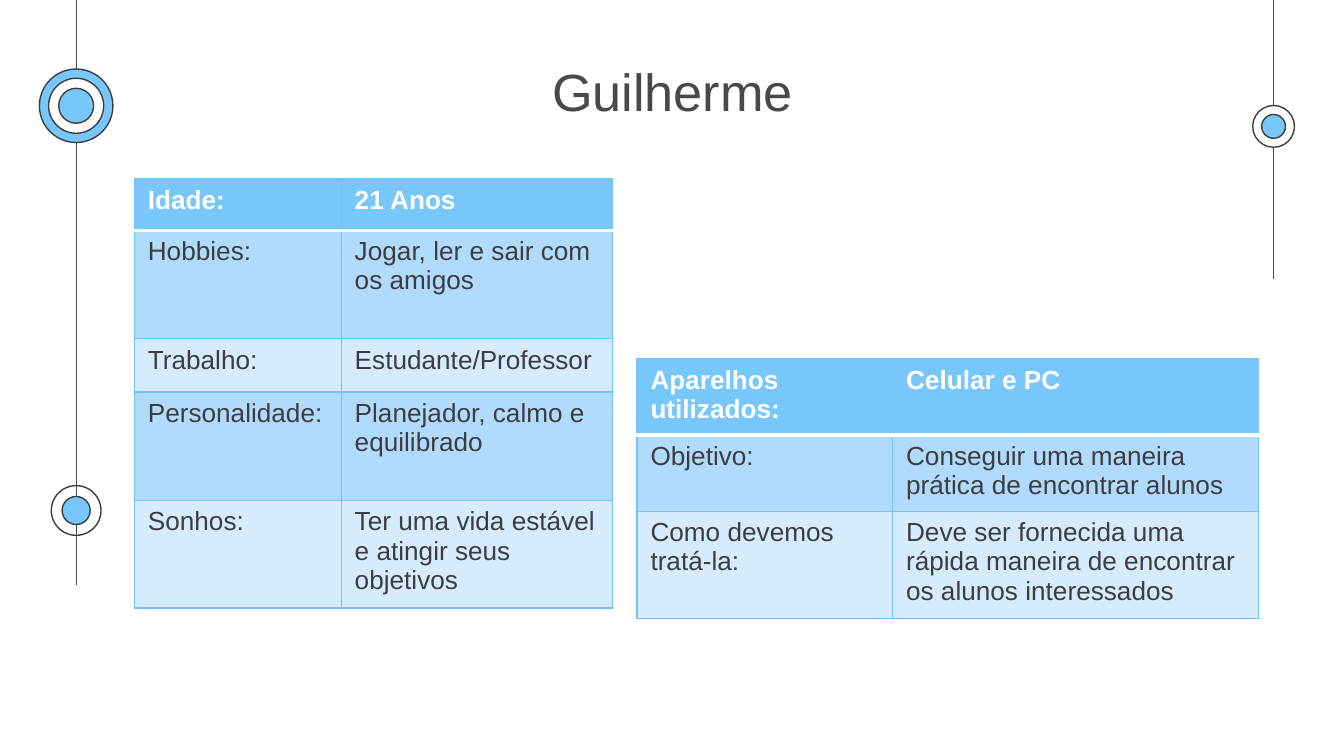
"""Build a persona slide with two tables and ringed side lines."""
import lxml.etree
import pptx
import pptx.dml.color
import pptx.enum.shapes
import pptx.enum.text
import pptx.oxml.ns
import pptx.util

Cm = pptx.util.Cm
Pt = pptx.util.Pt
qn = pptx.oxml.ns.qn

HUES = {
    "blue": "77C6FC",
    "band": "B1DBFE",
    "pale": "D6EBFE",
    "edge": "71C2FA",
    "white": "FFFFFF",
    "ink": "3D3D3D",
    "grey": "494949",
}


def hue(name):
    return pptx.dml.color.RGBColor.from_string(HUES[name])


def write(frame, text, size=14, color="ink", bold=False, align=None, font="Arial"):
    para = frame.paragraphs[0]
    para.alignment = align
    run = para.add_run()
    run.text = text
    run.font.name = font
    run.font.size = Pt(size)
    run.font.bold = bold
    run.font.color.rgb = hue(color)


class Deck:
    def __init__(self, wide, high):
        self.show = pptx.Presentation()
        self.show.slide_width = Cm(wide)
        self.show.slide_height = Cm(high)
        self.slide = self.show.slides.add_slide(self.show.slide_layouts[6])
        self.stroke = Pt(0.75)

    def title(self, text, left, top, wide, high):
        box = self.slide.shapes.add_textbox(Cm(left), Cm(top), Cm(wide), Cm(high))
        frame = box.text_frame
        frame.word_wrap = True
        frame.vertical_anchor = pptx.enum.text.MSO_ANCHOR.MIDDLE
        frame.margin_top = frame.margin_bottom = Cm(0.25)
        write(frame, text, size=28, color="grey", align=pptx.enum.text.PP_ALIGN.CENTER)

    def line(self, x, end):
        kind = pptx.enum.shapes.MSO_CONNECTOR.STRAIGHT
        line = self.slide.shapes.add_connector(kind, Cm(x), Cm(0), Cm(x), Cm(end))
        line.line.color.rgb = hue("grey")
        line.line.width = self.stroke
        lxml.etree.SubElement(line._element.spPr, qn("a:effectLst"))

    def disc(self, x, y, size, fill):
        kind = pptx.enum.shapes.MSO_SHAPE.OVAL
        disc = self.slide.shapes.add_shape(
            kind, Cm(x - size / 2), Cm(y - size / 2), Cm(size), Cm(size))
        disc.shadow.inherit = False
        if fill:
            disc.fill.solid()
            disc.fill.fore_color.rgb = hue(fill)
        else:
            disc.fill.background()
        disc.line.color.rgb = hue("ink")
        disc.line.width = self.stroke

    def border(self, cell, row):
        props = cell._tc.get_or_add_tcPr()
        for spot, side in enumerate("LRTB"):
            rule = (row, side) in ((0, "B"), (1, "T"))
            edge = lxml.etree.Element(qn("a:ln" + side))
            edge.set("w", str(Pt(2) if rule else self.stroke))
            fill = lxml.etree.SubElement(edge, qn("a:solidFill"))
            tint = lxml.etree.SubElement(fill, qn("a:srgbClr"))
            tint.set("val", HUES["white" if rule else "edge"])
            props.insert(spot, edge)

    def table(self, left, top, wides, highs, rows):
        grid = self.slide.shapes.add_table(
            len(rows), len(wides), Cm(left), Cm(top), Cm(sum(wides)), Cm(sum(highs))).table
        for col, wide in zip(grid.columns, wides):
            col.width = Cm(wide)
        for r, (high, texts) in enumerate(zip(highs, rows)):
            grid.rows[r].height = Cm(high)
            head = r == 0
            fill = "blue" if head else "band" if r % 2 else "pale"
            for c, text in enumerate(texts):
                cell = grid.cell(r, c)
                cell.fill.solid()
                cell.fill.fore_color.rgb = hue(fill)
                self.border(cell, r)
                write(cell.text_frame, text, color="white" if head else "ink", bold=head)


def main():
    deck = Deck(25.4, 14.29)
    west, east = 1.44, 24.07
    deck.line(west, 11.05)
    deck.line(east, 5.28)
    rings = [
        (west, 9.65, [(0.94, None), (0.53, "blue")]),
        (east, 2.39, [(0.79, "white"), (0.45, "blue")]),
        (west, 2, [(1.39, "blue"), (1.04, "white"), (0.66, "blue")]),
    ]
    for x, y, discs in rings:
        for size, fill in discs:
            deck.disc(x, y, size, fill)

    deck.title("Guilherme", 6.6, 0.91, 12.22, 1.6)
    deck.table(2.54, 3.38, [3.91, 5.13], [0.97, 2.05, 1.01, 2.05, 1.93], [
        ("Idade:", "21 Anos"),
        ("Hobbies:", "Jogar, ler e sair com os amigos"),
        ("Trabalho:", "Estudante/Professor"),
        ("Personalidade:", "Planejador, calmo e equilibrado"),
        ("Sonhos:", "Ter uma vida estável e atingir seus objetivos"),
    ])
    deck.table(12.04, 6.78, [4.83, 6.91], [1.36, 1.36, 1.93], [
        ("Aparelhos utilizados:", "Celular e PC"),
        ("Objetivo:", "Conseguir uma maneira prática de encontrar alunos"),
        ("Como devemos tratá-la:",
         "Deve ser fornecida uma rápida maneira de encontrar os alunos interessados"),
    ])
    deck.show.save("out.pptx")


if __name__ == "__main__":
    main()
